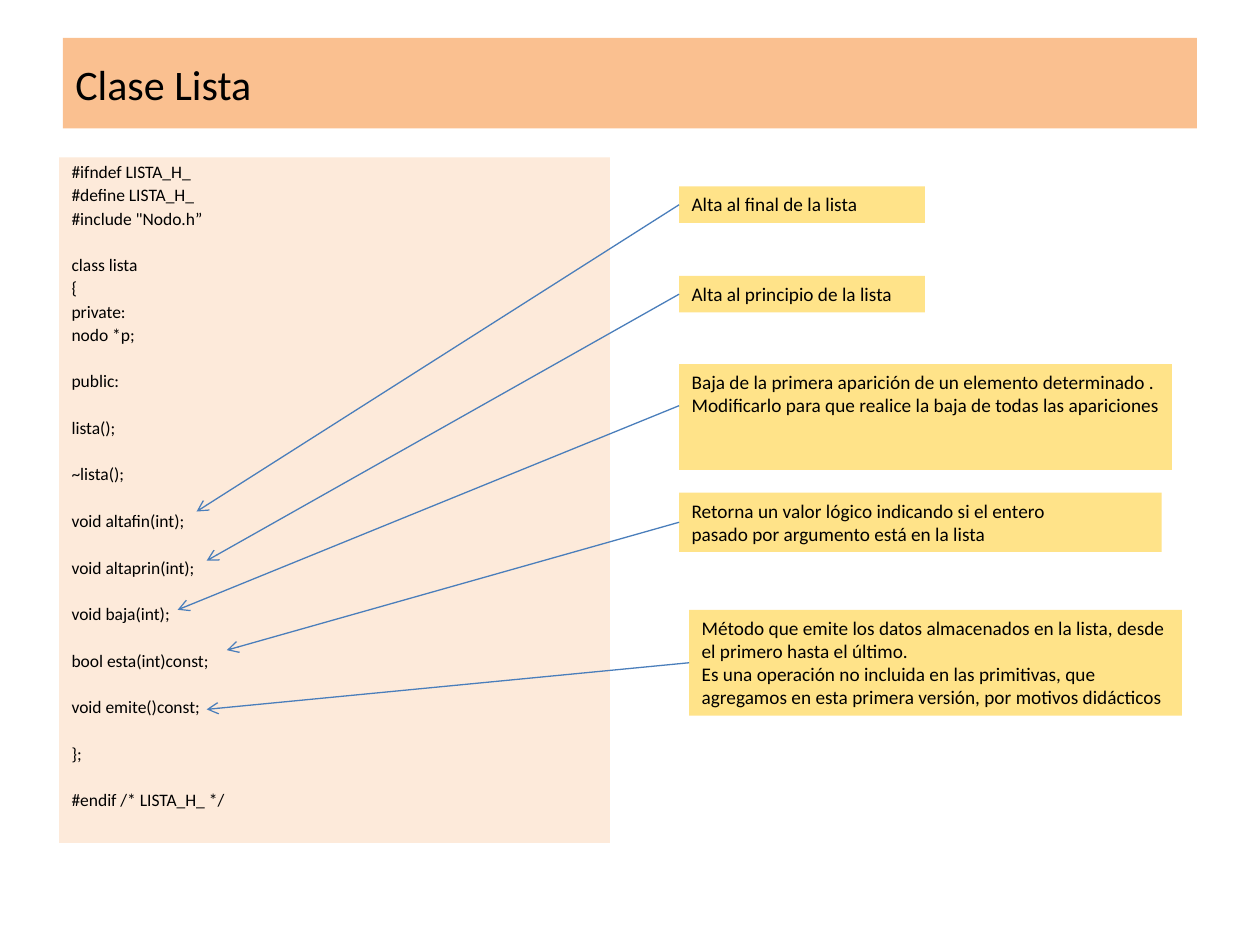
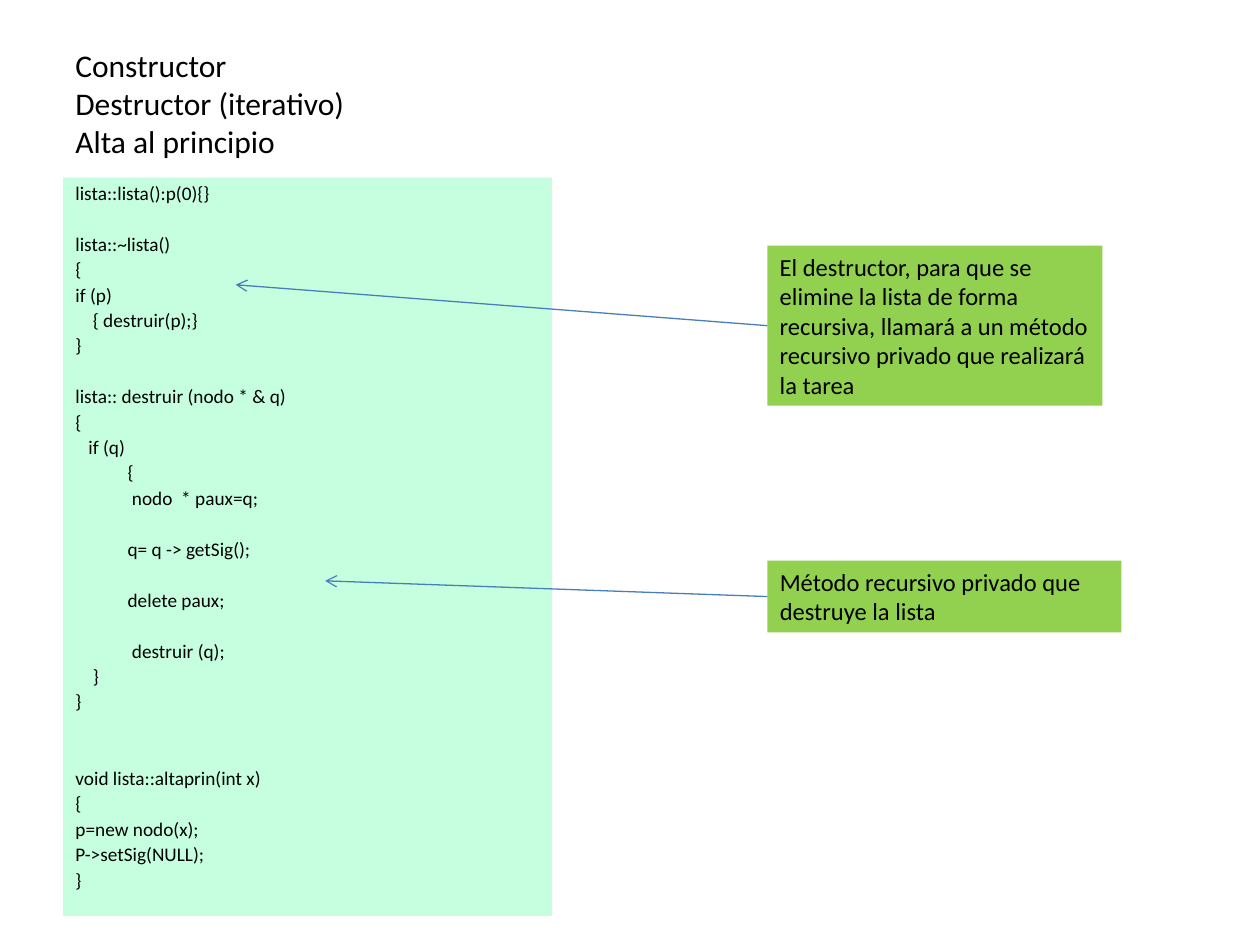
from pptx import Presentation
from pptx import util as u
from pptx.dml.color import RGBColor
from pptx.enum import shapes, text
from pptx.oxml.ns import qn
from lxml import etree

FONT = "Calibri"
BLACK = "000000"
TITLE_BAND = "FAC090"
ARROW_BLUE = "4A7EBB"
LEFT_SIDE = 1

HEADER_CODE = """#ifndef LISTA_H_
#define LISTA_H_
#include "Nodo.h”

class lista
{
private:
nodo *p;

public:

lista();

~lista();

void altafin(int);

void altaprin(int);

void baja(int);

bool esta(int)const;

void emite()const;

};

#endif /* LISTA_H_ */"""

METHODS_CODE = """lista::lista():p(0){}

lista::~lista()
{
if (p)
    { destruir(p);}
}

lista:: destruir (nodo * & q)
{
   if (q)
            {
             nodo  * paux=q;

            q= q -> getSig();

            delete paux;

             destruir (q);
    }
}


void lista::altaprin(int x)
{
p=new nodo(x);
P->setSig(NULL);
}"""


def color(hex_string):
    return RGBColor.from_string(hex_string)


class Deck:
    """Holds the shared style and the slide being filled."""

    def __init__(self):
        self.presentation = Presentation()
        self.presentation.slide_width = u.Inches(10)
        self.presentation.slide_height = u.Inches(7.5)
        self.slide = None

    def new_slide(self):
        self.slide = self.presentation.slides.add_slide(self.presentation.slide_layouts[6])

    def box(self, place, lines, size, fill=None, anchor=text.MSO_ANCHOR.TOP):
        shape = self.slide.shapes.add_shape(
            shapes.MSO_SHAPE.RECTANGLE, *(u.Inches(length) for length in place))
        shape.shadow.inherit = False
        shape.line.fill.background()
        if fill:
            shape.fill.solid()
            shape.fill.fore_color.rgb = color(fill)
        else:
            shape.fill.background()
        frame = shape.text_frame
        frame.word_wrap = True
        frame.vertical_anchor = anchor
        frame.text = "\n".join(lines)
        for paragraph in frame.paragraphs:
            paragraph.alignment = text.PP_ALIGN.LEFT
            paragraph.font.name = FONT
            paragraph.font.size = u.Pt(size)
            paragraph.font.color.rgb = color(BLACK)
        return shape

    def title(self, lines, height, size, fill=None):
        self.box((0.5, 0.3, 9, height), lines, size, fill, text.MSO_ANCHOR.MIDDLE)

    def code(self, place, source, size, fill, gap):
        """Empty source lines become space before the next line of code."""
        rows, blanks, spaces = [], 0, []
        pitch = size * 1.22 * 0.9 + gap
        for row in source.split("\n"):
            if not row:
                blanks += 1
                continue
            rows.append(row)
            spaces.append(gap + blanks * pitch)
            blanks = 0
        spaces[0] = 0
        shape = self.box(place, rows, size, fill)
        for paragraph, space in zip(shape.text_frame.paragraphs, spaces):
            paragraph.line_spacing = 0.9
            paragraph.space_before = u.Pt(space)

    def note(self, place, lines, size, fill, target, start_y=None):
        """Adds a note and its arrow, joined to the left side unless start_y is given."""
        shape = self.box(place, lines, size, fill)
        left, top, _, height = place
        start = (left, start_y or top + height / 2)
        arrow = self.slide.shapes.add_connector(
            shapes.MSO_CONNECTOR.STRAIGHT, *(u.Inches(length) for length in start + target))
        if start_y is None:
            arrow.begin_connect(shape, LEFT_SIDE)
        arrow.line.color.rgb = color(ARROW_BLUE)
        arrow.line.width = u.Pt(0.75)
        etree.SubElement(arrow.line._get_or_add_ln(), qn("a:tailEnd"), type="arrow")
        etree.SubElement(arrow._element.spPr, qn("a:effectLst"))


def add_class_slide(deck):
    deck.new_slide()
    deck.title(["Clase Lista"], 0.72, 24, TITLE_BAND)
    deck.code((0.47, 1.25, 4.37, 5.44), HEADER_CODE, 10, "FDEADA", 2.4)
    notes = [
        ((5.39, 1.48, 1.95, 0.29), ["Alta al final de la lista"], (1.56, 4.06), None),
        ((5.39, 2.19, 1.95, 0.29), ["Alta al principio de la lista"], (1.64, 4.45), None),
        ((5.39, 2.89, 3.91, 0.84),
         ["Baja de la primera aparición de un elemento determinado .",
          "Modificarlo para que realice la baja de todas las apariciones"], (1.41, 4.84), 3.22),
        ((5.39, 3.91, 3.83, 0.47),
         ["Retorna un valor lógico indicando si el entero",
          "pasado por argumento está en la lista"], (1.8, 5.16), None),
        ((5.47, 4.84, 3.91, 0.84),
         ["Método que emite los datos almacenados en la lista, desde el primero hasta el último.",
          "Es una operación no incluida en las primitivas, que agregamos en esta primera "
          "versión, por motivos didácticos"], (1.64, 5.63), None),
    ]
    for place, lines, target, start_y in notes:
        deck.note(place, lines, 11, "FFE389", target, start_y)


def add_methods_slide(deck):
    deck.new_slide()
    deck.title(["Constructor", "Destructor (iterativo)", "Alta al principio"], 1.03, 18)
    deck.code((0.5, 1.41, 3.88, 5.86), METHODS_CODE, 11, "C5FFDF", 2.6)
    notes = [
        ((6.09, 1.95, 2.66, 1.27),
         "El destructor, para que se elimine la lista de forma recursiva, llamará a un método "
         "recursivo privado que realizará la tarea", (1.87, 2.26)),
        ((6.09, 4.45, 2.81, 0.57),
         "Método recursivo privado que destruye la lista", (2.58, 4.61)),
    ]
    for place, line, target in notes:
        deck.note(place, [line], 14, "92D050", target)


def main():
    deck = Deck()
    add_class_slide(deck)
    add_methods_slide(deck)
    deck.presentation.save("out.pptx")


if __name__ == "__main__":
    main()
